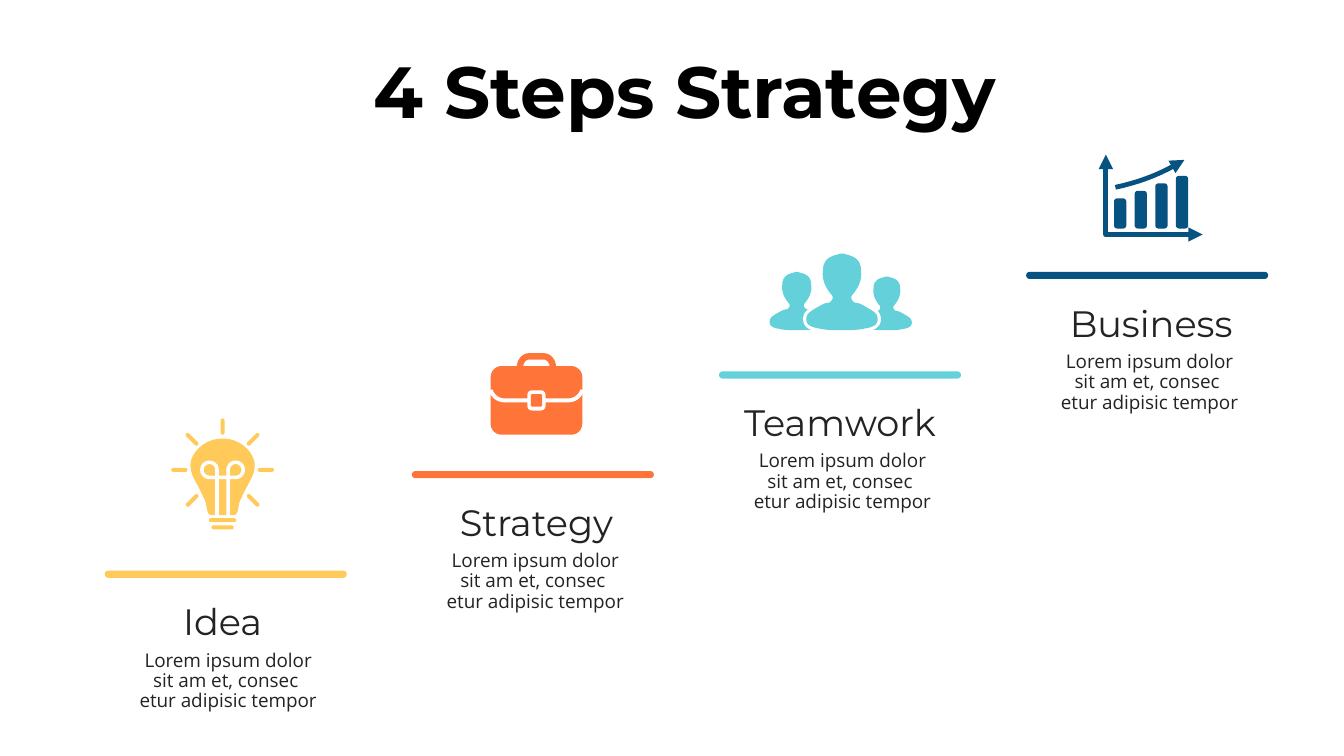
from lxml import etree
from pptx import Presentation
from pptx.dml.color import RGBColor
from pptx.enum.shapes import MSO_SHAPE
from pptx.enum.text import MSO_ANCHOR, PP_ALIGN
from pptx.oxml.ns import qn
from pptx.util import Cm, Pt
from math import cos, pi, radians, sin

ROUND = MSO_SHAPE.ROUNDED_RECTANGLE
TOP = MSO_ANCHOR.TOP
CENTER = PP_ALIGN.CENTER
HUES = {"yellow": "FFCA59", "orange": "FF7438", "teal": "64D1DA", "navy": "065280",
        "white": "FFFFFF", "ink": "232323", "black": "000000"}
BODY = ["Lorem ipsum dolor sit am et, consec ", "etur adipisic tempor"]
BAR_W, BAR_H = 6.1, 0.18
STEP_X, STEP_Y = 7.74, 2.51


def color(hue):
    return RGBColor.from_string(HUES[hue])


def write(shapes, lines, x, y, w, h, size, lead, font, hue="ink", bold=False):
    frame = shapes.add_textbox(Cm(x), Cm(y), Cm(w), Cm(h)).text_frame
    frame.margin_left = frame.margin_right = frame.margin_top = frame.margin_bottom = 0
    frame.word_wrap = True
    frame.vertical_anchor = TOP
    for i, line in enumerate(lines):
        para = frame.add_paragraph() if i else frame.paragraphs[0]
        para.alignment = CENTER
        para.line_spacing = Pt(lead)
        run = para.add_run()
        run.text = line
        run.font.name = font
        run.font.size = Pt(size)
        run.font.bold = bold
        run.font.color.rgb = color(hue)


def pill(shapes, x, y, w, h, hue, curve=0.5, turn=0):
    shape = shapes.add_shape(ROUND, Cm(x - w / 2), Cm(y - h / 2), Cm(w), Cm(h))
    shape.adjustments[0] = curve
    shape.rotation = turn
    shape.shadow.inherit = False
    shape.fill.solid()
    shape.fill.fore_color.rgb = color(hue)
    shape.line.fill.background()


def trace(start, *parts):
    points = [start]
    for part in parts:
        if len(part) == 2:
            points.append(part)
            continue
        ends = [points[-1], part[:2], part[2:4], part[4:]]
        for n in range(1, 9):
            t = n / 8
            mix = ((1 - t) ** 3, 3 * t * (1 - t) ** 2, 3 * t * t * (1 - t), t ** 3)
            points.append(tuple(sum(m * e[k] for m, e in zip(mix, ends)) for k in (0, 1)))
    return points


def mirror(half):
    return half + [(-x, y) for x, y in reversed(half)]


def draw(shapes, points, x, y, fill=None, line=None, width=0, scale=1):
    spots = [(Cm(x + a * scale), Cm(y + b * scale)) for a, b in points]
    form = shapes.build_freeform(*spots[0], scale=1.0)
    form.add_line_segments(spots[1:], close=fill is not None)
    shape = form.convert_to_shape()
    shape.shadow.inherit = False
    if fill:
        shape.fill.solid()
        shape.fill.fore_color.rgb = color(fill)
    else:
        shape.fill.background()
    if line:
        shape.line.color.rgb = color(line)
        shape.line.width = Cm(width)
    else:
        shape.line.fill.background()
    return shape


def point(shape, *ends):
    pen = shape.line._get_or_add_ln()
    for end in ends:
        etree.SubElement(pen, qn("a:" + end), type="triangle", w="med", len="med")


def bulb(shapes, x, y, hue):
    x, y = x + 2.97, y - 2.54
    for turn in (45, 135, 180, 225, 270, 315, 360):
        angle = radians(turn)
        pill(shapes, x + 1.09 * cos(angle), y + 1.09 * sin(angle), 0.41, 0.1, hue, turn=turn)
    glass = trace((0, -0.79), (0.41, -0.79, 0.71, -0.51, 0.79, -0.25),
                  (0.84, -0.08, 0.79, 0.1, 0.69, 0.28), (0.61, 0.43, 0.53, 0.58, 0.46, 0.74),
                  (0.41, 0.81, 0.41, 0.94, 0.38, 1.04), (0.36, 1.12, 0.33, 1.14, 0.25, 1.14))
    draw(shapes, mirror(glass), x, y, fill=hue)
    loop = [(-0.33 + 0.19 * cos(n * pi / 16), -0.19 * sin(n * pi / 16)) for n in range(25)]
    draw(shapes, mirror([(-0.14, 1.15)] + loop), x, y, line="white", width=0.09)
    for drop, wide in ((1.27, 0.69), (1.45, 0.56)):
        pill(shapes, x, y + drop, wide, 0.1, hue)


def case(shapes, x, y, hue):
    x, y = x + 3.14, y - 1.93
    grip = trace((-0.42, -0.65), (-0.42, -0.83, -0.32, -0.96, -0.18, -0.96))
    draw(shapes, mirror(grip), x, y, line=hue, width=0.16)
    pill(shapes, x, y + 0.15, 2.31, 1.73, hue, curve=0.16)
    flap = trace((-1.16, -0.11), (-1.09, 0.05, -0.97, 0.15, -0.8, 0.15))
    draw(shapes, mirror(flap), x, y, line="white", width=0.1)
    pill(shapes, x, y + 0.15, 0.46, 0.51, "white", curve=0.25)
    pill(shapes, x, y + 0.15, 0.28, 0.31, hue, curve=0.1)


def team(shapes, x, y, hue):
    x, y = x + 3.1, y - 1.04
    half = trace((0, -1.93), (0.05, -1.93, 0.1, -1.91, 0.13, -1.9),
                 (0.36, -1.85, 0.48, -1.73, 0.48, -1.5), (0.51, -1.3, 0.43, -1.09, 0.28, -0.91),
                 (0.2, -0.84, 0.23, -0.74, 0.33, -0.69), (0.41, -0.69, 0.46, -0.66, 0.51, -0.64),
                 (0.64, -0.56, 0.76, -0.51, 0.86, -0.41), (0.91, -0.33, 0.94, -0.18, 0.79, -0.1),
                 (0.74, -0.08, 0.66, -0.05, 0.61, -0.05), (0.43, 0, 0.25, 0, 0, 0))
    body = mirror(half)
    for shift, scale in ((-1.14, 0.76), (1.13, 0.7)):
        draw(shapes, body, x + shift, y, fill=hue, scale=scale)
    draw(shapes, body, x, y, fill="white", line="white", width=0.16)
    draw(shapes, body, x, y, fill=hue)


def graph(shapes, x, y, hue):
    x, y = x + 2.01, y - 0.94
    axes = draw(shapes, [(0, -2.01), (0, 0), (2.44, 0)], x, y, line=hue, width=0.12)
    point(axes, "headEnd", "tailEnd")
    curve = trace((0.24, -1.19), (0.77, -1.3, 1.3, -1.49, 1.75, -1.75), (1.98, -1.88))
    point(draw(shapes, curve, x, y, line=hue, width=0.12), "tailEnd")
    for i in range(4):
        tall = 0.76 + 0.19 * i
        pill(shapes, x + 0.36 + 0.52 * i, y - 0.15 - tall / 2, 0.31, tall, hue, curve=0.25)


def step(shapes, i, name, hue, icon, shift):
    x, y = 2.64 + STEP_X * i, 14.38 - STEP_Y * i
    pill(shapes, x + BAR_W / 2, y + BAR_H / 2, BAR_W, BAR_H, hue)
    icon(shapes, x, y, hue)
    write(shapes, BODY, x + 0.8, y + 2.01, 4.62, 1.6, size=13.5, lead=14.6, font="Open Sans")
    write(shapes, [name], x + shift, y + 0.53, BAR_W, 1.22, size=26.2, lead=36.8,
          font="Montserrat")


def main():
    deck = Presentation()
    deck.slide_width, deck.slide_height = Cm(33.87), Cm(19.05)
    shapes = deck.slides.add_slide(deck.slide_layouts[6]).shapes
    steps = [("Idea", "yellow", bulb, -0.08), ("Strategy", "orange", case, 0.09),
             ("Teamwork", "teal", team, 0), ("Business", "navy", graph, 0.1)]
    for i, item in enumerate(steps):
        step(shapes.add_group_shape().shapes, i, *item)
    write(shapes, ["4 Steps Strategy"], 8.56, 0.81, 17.4, 2.41, size=51.7, lead=72.4,
          font="Montserrat", hue="black", bold=True)
    deck.save("out.pptx")


if __name__ == "__main__":
    main()
